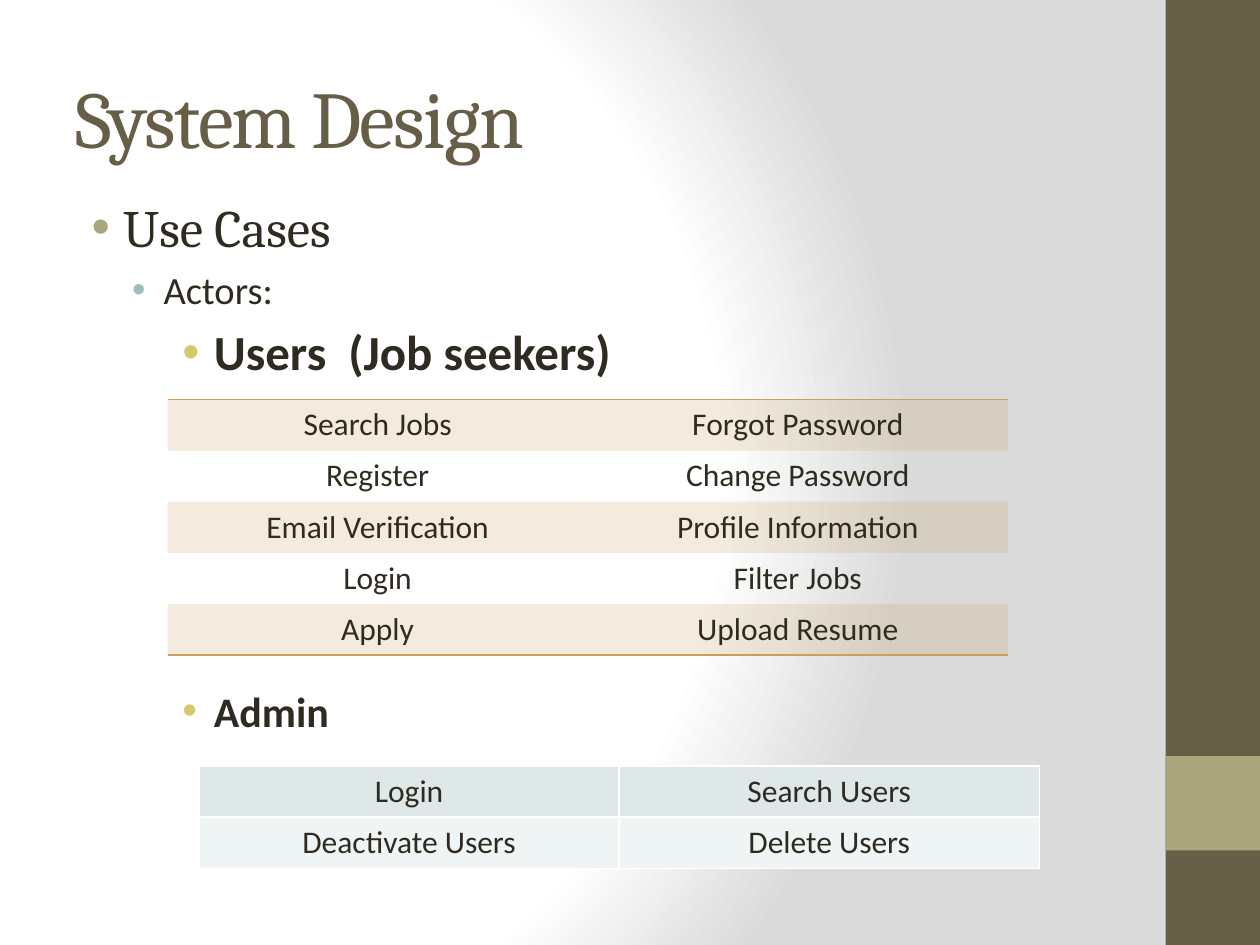
import pptx
import pptx.dml.color
import pptx.enum.shapes
import pptx.enum.text
import pptx.oxml
import pptx.oxml.ns
import pptx.util
from pptx.util import Inches, Pt

# Content
TITLE = "System Design"
INK, BROWN, OLIVE, GOLD = "2F2B20", "675E47", "A9A57C", "C89F5D"
LEVELS = [  # left margin, bullet colour
    (0.38, OLIVE), (0.7, "9CBEBD"), (1.1, "D2CB6C")]
# (top, height, [(text, level, font format)])
OUTLINES = [
    (1.5, 1.65, [("Use Cases", 0, {"name": "Cambria", "size": Pt(30)}),
                 ("Actors:", 1, {"name": "Calibri", "size": Pt(22)}),
                 ("Users  (Job seekers)", 2,
                  {"name": "Calibri", "size": Pt(28), "bold": True})]),
    (5.39, 0.5, [("Admin", 2, {"name": "Calibri", "size": Pt(24), "bold": True})]),
]
USER_CASES = [("Search Jobs", "Forgot Password"),
              ("Register", "Change Password"),
              ("Email Verification", "Profile Information"),
              ("Login", "Filter Jobs"),
              ("Apply", "Upload Resume")]
ADMIN_CASES = [("Login", "Search Users"), ("Deactivate Users", "Delete Users")]
SIDEBAR = [(0, 7.5, BROWN), (6, 0.75, OLIVE)]  # top, height, colour
TABLE_WIDTH, ROW_HEIGHT = 6.67, 0.406
NO_STYLE = "{2D5ABB26-0587-4C30-8999-92F81FD0307C}"
NS = pptx.oxml.ns.nsdecls("a")


def color(value):
    return pptx.dml.color.RGBColor.from_string(value)


def xml(text):
    """Parse one element, adding the drawing namespace to its first tag."""
    tag, rest = text.split(">", 1)
    slash = "/" if tag.endswith("/") else ""
    return pptx.oxml.parse_xml(f"{tag.rstrip('/')} {NS}{slash}>{rest}")


def style(font, values, ink=INK):
    for key, value in values.items():
        setattr(font, key, value)
    font.color.rgb = color(ink)


def add_frame(top, height):
    frame = slide.shapes.add_textbox(
        Inches(0.5), Inches(top), Inches(8.33), Inches(height)).text_frame
    frame.word_wrap = True
    return frame


def add_cases(cases, left, top, bands, alpha, edges):
    """Two-column table; edges(row) lists the (side, colour) borders of a row."""
    grid = slide.shapes.add_table(
        len(cases), 2, Inches(left), Inches(top), Inches(TABLE_WIDTH),
        Inches(ROW_HEIGHT * len(cases))).table
    grid.first_row = grid.horz_banding = False
    grid._tbl.tblPr.find(pptx.oxml.ns.qn("a:tableStyleId")).text = NO_STYLE
    for r, labels in enumerate(cases):
        for c, label in enumerate(labels):
            cell = grid.cell(r, c)
            line = cell.text_frame.paragraphs[0]
            line.alignment = pptx.enum.text.PP_ALIGN.CENTER
            run = line.add_run()
            run.text = label
            style(run.font, {"name": "Calibri", "size": Pt(18)})
            props = cell._tc.get_or_add_tcPr()
            for side, edge in edges(r):
                props.append(xml(f'<a:ln{side} w="12700"><a:solidFill>'
                                 f'<a:srgbClr val="{edge}"/></a:solidFill></a:ln{side}>'))
            band = bands[r % 2]
            if band:
                props.append(xml(f'<a:solidFill><a:srgbClr val="{band}">'
                                 f'<a:alpha val="{alpha * 1000}"/></a:srgbClr></a:solidFill>'))
            else:
                cell.fill.background()


prs = pptx.Presentation()
prs.slide_width, prs.slide_height = Inches(10), Inches(7.5)
slide = prs.slides.add_slide(prs.slide_layouts[6])

# Background: radial gradient from the left
slide.background.fill.gradient()
old = next(slide.background._cSld.iter(pptx.oxml.ns.qn("a:gradFill")))
stops = "".join(f'<a:gs pos="{pos * 1000}"><a:srgbClr val="{shade}"/></a:gs>'
                for pos, shade in [(0, "FFFFFF"), (75, "FFFFFF"), (100, "DADADA")])
old.getparent().replace(old, xml(
    f'<a:gradFill rotWithShape="1"><a:gsLst>{stops}</a:gsLst><a:path path="circle">'
    '<a:fillToRect l="20000" t="50000" r="100000" b="50000"/></a:path></a:gradFill>'))

# Sidebar
for top, height, shade in SIDEBAR:
    bar = slide.shapes.add_shape(pptx.enum.shapes.MSO_SHAPE.RECTANGLE, Inches(9.25),
                                 Inches(top), Inches(0.75), Inches(height))
    bar.shadow.inherit = False
    bar.fill.solid()
    bar.fill.fore_color.rgb = color(shade)
    bar.line.fill.background()

# Title
heading = add_frame(0.3, 1.25)
heading.vertical_anchor = pptx.enum.text.MSO_ANCHOR.MIDDLE
title_run = heading.paragraphs[0].add_run()
title_run.text = TITLE
style(title_run.font, {"name": "Cambria", "size": Pt(46)}, BROWN)
title_run._r.get_or_add_rPr().set("spc", "-100")

# Bulleted outline
for top, height, items in OUTLINES:
    frame = add_frame(top, height)
    for i, (text, level, values) in enumerate(items):
        item = frame.add_paragraph() if i else frame.paragraphs[0]
        item.level = level
        run = item.add_run()
        run.text = text
        style(run.font, values)
        margin, bullet = LEVELS[level]
        props = item._p.get_or_add_pPr()
        props.set("marL", str(Inches(margin)))
        props.set("indent", str(Inches(-0.25)))
        for part in ('<a:spcBef><a:spcPct val="20000"/></a:spcBef>',
                     f'<a:buClr><a:srgbClr val="{bullet}"/></a:buClr>',
                     '<a:buFont typeface="Arial"/>', '<a:buChar char="•"/>'):
            props.append(xml(part))

# Use case tables
last = len(USER_CASES) - 1
add_cases(USER_CASES, 1.33, 3.17, (GOLD, None), 20,
          lambda r: [("T", GOLD)] * (r == 0) + [("B", GOLD)] * (r == last))
add_cases(ADMIN_CASES, 1.58, 6.08, ("DEE8E8", "EFF4F4"), 100,
          lambda r: [(side, "FFFFFF") for side in "LRTB"])

prs.save("out.pptx")
